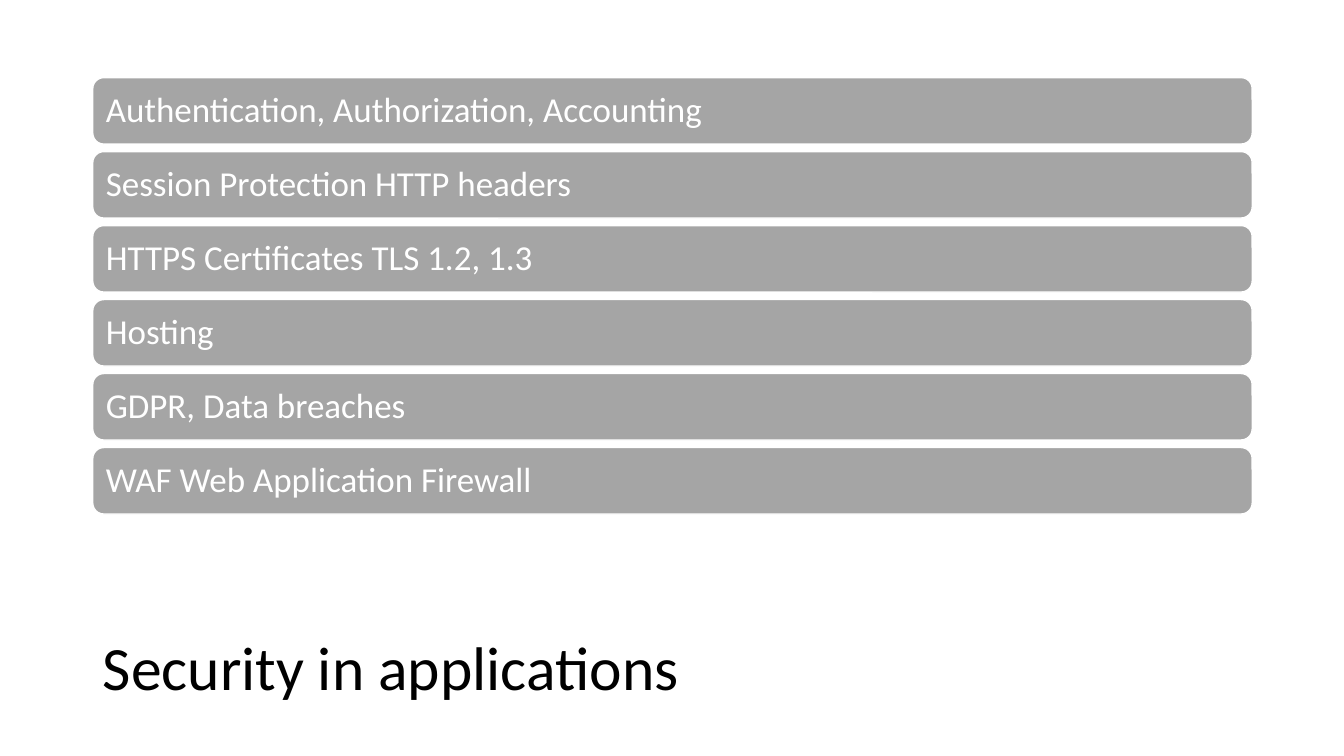
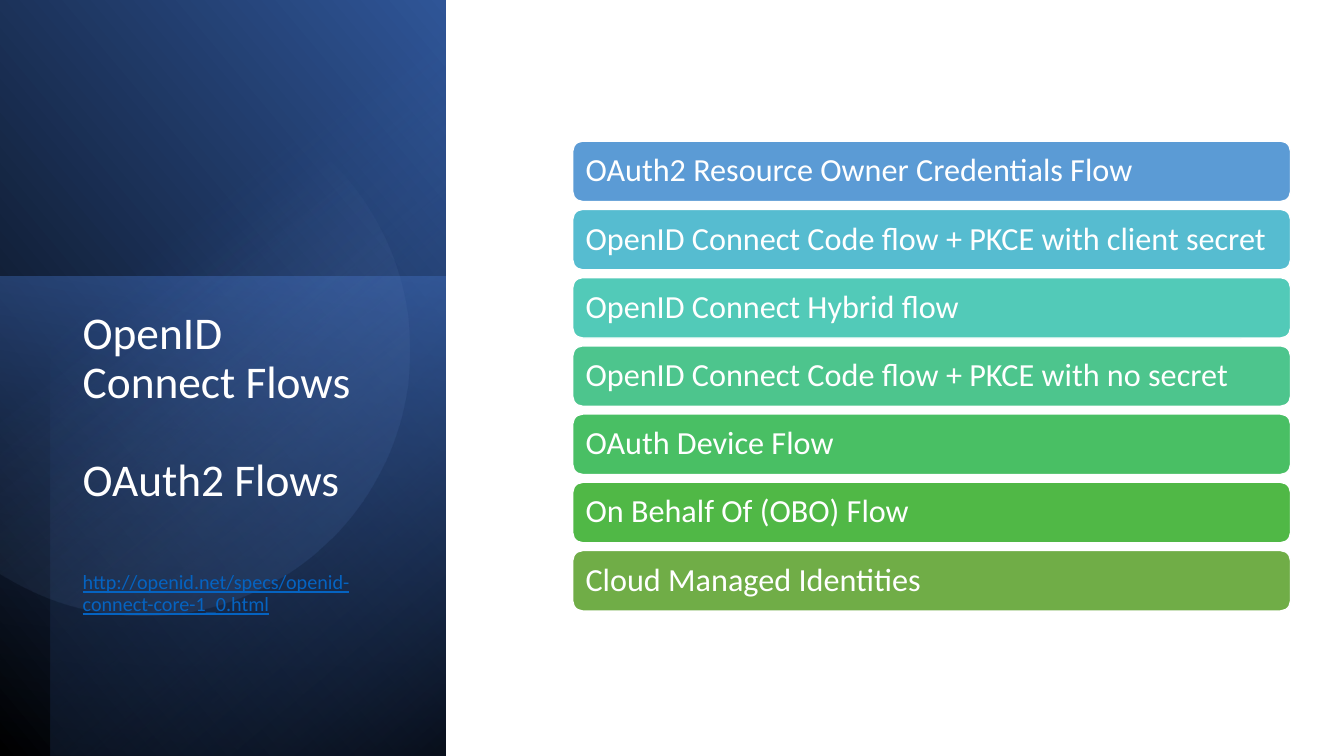
from math import atan2, cos, hypot, pi, sin

from pptx import Presentation
from pptx.dml.color import RGBColor
from pptx.enum.shapes import MSO_SHAPE as Preset
from pptx.enum.text import MSO_ANCHOR as Anchor, MSO_AUTO_SIZE as AutoSize, PP_ALIGN as Align
from pptx.oxml import parse_xml
from pptx.oxml.ns import nsdecls, qn
from pptx.util import Inches, Pt

COLORS = {
    "white": "FFFFFF", "black": "000000", "gray": "A5A5A5", "link": "0563C1",
    "navy": "203864", "blue": "4472C4", "deep": "2F5597", "pale": "8FAADC",
    "sky": "5B9BD5", "cyan": "56BCD0", "teal": "52CAB8", "mint": "4DC58D",
    "emerald": "49BF64", "green": "50B846", "olive": "70AD47",
}
FONT = "Calibri"
WIDTH, HEIGHT = 13.33, 7.5


def write(paragraph, text, size, color="white", underline=None, before=0):
    paragraph.alignment = Align.LEFT
    paragraph.line_spacing = 0.9
    paragraph.space_before = Pt(before)
    run = paragraph.add_run()
    run.text = text
    run.font.name = FONT
    run.font.size = Pt(size)
    run.font.underline = underline
    run.font.color.rgb = RGBColor.from_string(COLORS[color])


def fill_gradient(shape, stops, angle):
    shape.shadow.inherit = False
    shape.line.fill.background()
    shape.fill.background()
    stop_xml = "".join(
        f'<a:gs pos="{position * 1000}"><a:srgbClr val="{COLORS[color]}">'
        f'<a:alpha val="{opacity * 1000}"/></a:srgbClr></a:gs>'
        for position, color, opacity in stops)
    gradient = parse_xml(
        f'<a:gradFill {nsdecls("a")} rotWithShape="1"><a:gsLst>{stop_xml}</a:gsLst>'
        f'<a:lin ang="{round(angle * 60000)}" scaled="0"/></a:gradFill>')
    properties = shape.element.spPr
    properties.replace(properties.find(qn("a:noFill")), gradient)


presentation = Presentation()
presentation.slide_width = Inches(WIDTH)
presentation.slide_height = Inches(HEIGHT)
title_only = presentation.slide_layouts[5]
security_slide = presentation.slides.add_slide(title_only)
flows_slide = presentation.slides.add_slide(title_only)

PANEL = 4.42
panels = [
    (0, 0, 90, True, [(0, "black", 100), (100, "deep", 100)], 310),
    (0, 2.74, 270, False, [(0, "blue", 50), (100, "navy", 0)], 190),
    (0.5, 0, 270, True, [(0, "black", 59), (69, "blue", 0)], 220),
]
for left, top, rotation, flipped, stops, angle in panels:
    across, down = PANEL - left, HEIGHT - top
    panel = flows_slide.shapes.add_shape(
        Preset.RECTANGLE, Inches(left + (across - down) / 2),
        Inches(top + (down - across) / 2), Inches(down), Inches(across))
    panel.rotation = rotation
    if flipped:
        panel.element.spPr.xfrm.set("flipH", "1")
    fill_gradient(panel, stops, angle)

center_x, center_y, half_chord = 1.43, 3.47, 2.21
radius = hypot(center_x, half_chord)
start = atan2(half_chord, center_x) - pi
STEPS = 120
angles = [start - 2 * start * step / STEPS for step in range(STEPS + 1)]
arc = [(Inches(center_x + radius * cos(turn)), Inches(center_y + radius * sin(turn)))
       for turn in angles]
builder = flows_slide.shapes.build_freeform(*arc[0])
builder.add_line_segments(arc[1:], close=True)
fill_gradient(builder.convert_to_shape(), [(39, "pale", 0), (100, "deep", 26)], 51.6)

titles = [
    (security_slide, (0.92, 6.05, 8.44, 1.2), Anchor.MIDDLE, [
        ("Security in applications", dict(size=44, color="black"))]),
    (flows_slide, (0.72, 3.03, 3.15, 3.36), Anchor.TOP, [
        ("OpenID Connect Flows", dict(size=32.4)),
        ("OAuth2 Flows", dict(size=32.4, before=35)),
        ("http://openid.net/specs/openid-connect-core-1_0.html",
         dict(size=14.4, color="link", underline=True, before=47))]),
]
for slide, box, anchor, lines in titles:
    title = slide.shapes.title
    title.left, title.top, title.width, title.height = map(Inches, box)
    title.element.getparent().append(title.element)
    frame = title.text_frame
    frame.word_wrap = True
    frame.auto_size = AutoSize.NONE
    frame.vertical_anchor = anchor
    for index, (text, style) in enumerate(lines):
        paragraph = frame.add_paragraph() if index else frame.paragraphs[0]
        write(paragraph, text, **style)

bar_lists = [
    (security_slide, (0.92, 0.77, 11.5, 0.66), 0.734, 25, [
        ("Authentication, Authorization, Accounting", "gray"),
        ("Session Protection HTTP headers", "gray"),
        ("HTTPS Certificates TLS 1.2, 1.3", "gray"),
        ("Hosting", "gray"),
        ("GDPR, Data breaches", "gray"),
        ("WAF Web Application Firewall", "gray")]),
    (flows_slide, (5.68, 1.4, 7.12, 0.6), 0.677, 23, [
        ("OAuth2 Resource Owner Credentials Flow", "sky"),
        ("OpenID Connect Code flow + PKCE with client secret", "cyan"),
        ("OpenID Connect Hybrid flow", "teal"),
        ("OpenID Connect Code flow + PKCE with no secret", "mint"),
        ("OAuth Device Flow", "emerald"),
        ("On Behalf Of (OBO) Flow", "green"),
        ("Cloud Managed Identities", "olive")]),
]
for slide, (left, top, width, height), pitch, size, bars in bar_lists:
    for row, (text, color) in enumerate(bars):
        bar = slide.shapes.add_shape(
            Preset.ROUNDED_RECTANGLE, Inches(left), Inches(top + row * pitch),
            Inches(width), Inches(height))
        bar.shadow.inherit = False
        bar.fill.solid()
        bar.fill.fore_color.rgb = RGBColor.from_string(COLORS[color])
        bar.line.color.rgb = RGBColor.from_string(COLORS["white"])
        bar.line.width = Pt(1)
        frame = bar.text_frame
        frame.word_wrap = True
        frame.vertical_anchor = Anchor.MIDDLE
        frame.margin_left = frame.margin_right = Inches(0.1)
        write(frame.paragraphs[0], text, size)

presentation.save("out.pptx")
